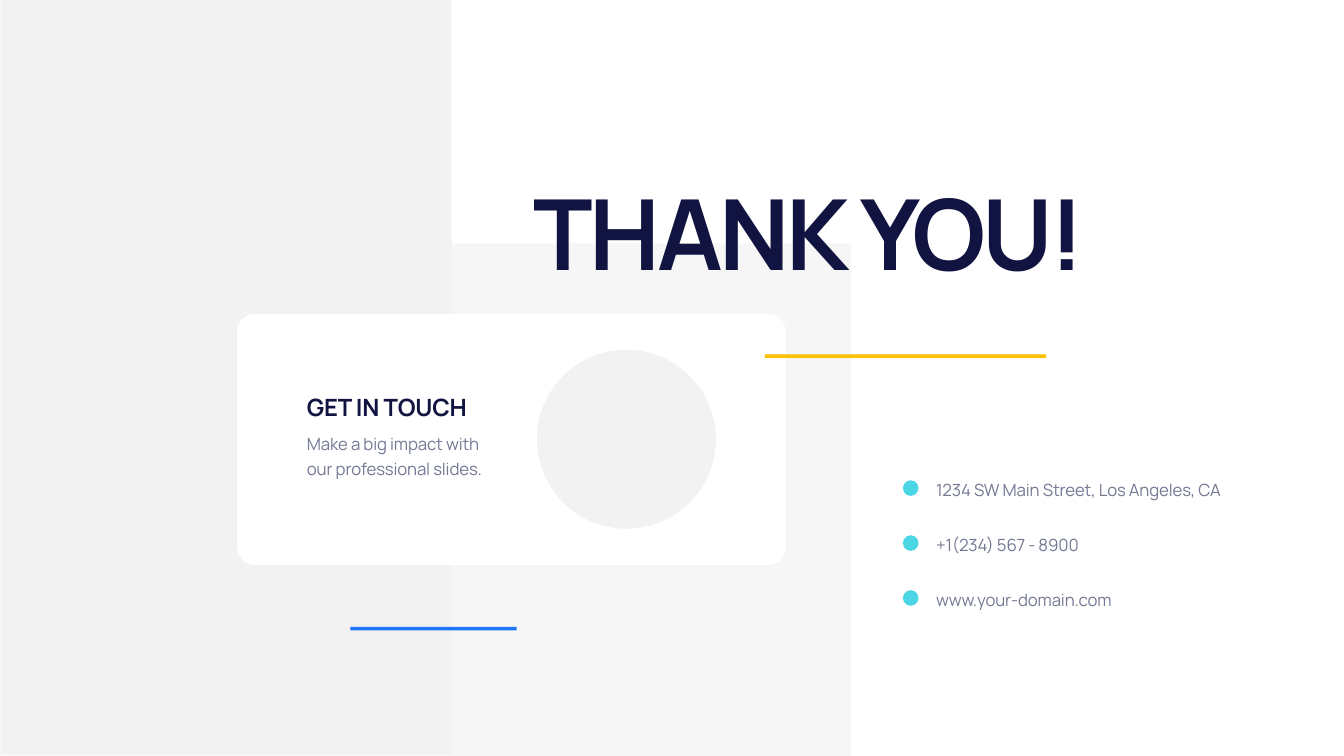
from dataclasses import dataclass

from lxml.etree import SubElement
from pptx import Presentation
from pptx.dml.color import RGBColor
from pptx.enum.shapes import MSO_SHAPE
from pptx.enum.text import MSO_ANCHOR, MSO_AUTO_SIZE, PP_ALIGN
from pptx.oxml.ns import qn
from pptx.util import Inches, Pt


@dataclass(frozen=True)
class Theme:
    font: str = "Manrope"
    white: str = "FFFFFF"
    navy: str = "111340"
    slate: str = "747994"
    pale: str = "F2F2F2"
    mist: str = "C3C8CE"
    yellow: str = "FFC000"
    blue: str = "2075FD"
    cyan: str = "4BD6E5"
    title_size: int = 140
    heading_size: int = 34
    body_size: int = 24
    body_leading: int = 36


class ClosingSlide:
    """Holds the theme and the slide being built."""

    def __init__(self, slide, theme):
        self.slide = slide
        self.theme = theme

    def block(self, kind, left, top, width, height, color, opacity=None):
        """Add a borderless filled shape; opacity is in percent."""
        block = self.slide.shapes.add_shape(
            kind, Inches(left), Inches(top), Inches(width), Inches(height))
        block.shadow.inherit = False
        block.line.fill.background()
        block.fill.solid()
        block.fill.fore_color.rgb = RGBColor.from_string(color)
        if opacity is not None:
            tint = block.element.spPr.find(qn("a:solidFill"))[0]
            SubElement(tint, qn("a:alpha"), val=str(opacity * 1000))
        return block

    def bar(self, left, top, width, color):
        return self.block(MSO_SHAPE.RECTANGLE, left, top, width, 0.07, color)

    def dot(self, left, top, diameter, color):
        return self.block(MSO_SHAPE.OVAL, left, top, diameter, diameter, color)

    def fill_text(self, frame, text, size, color, spacing, bold=False,
                  align=PP_ALIGN.LEFT, anchor=MSO_ANCHOR.TOP, leading=None):
        """Fill a text frame; spacing is between letters, in points."""
        frame.word_wrap = True
        frame.auto_size = MSO_AUTO_SIZE.SHAPE_TO_FIT_TEXT
        frame.vertical_anchor = anchor
        paragraph = frame.paragraphs[0]
        paragraph.alignment = align
        if leading:
            paragraph.line_spacing = Pt(leading)
        run = paragraph.add_run()
        run.text = text
        run.font.name = self.theme.font
        run.font.size = Pt(size)
        run.font.bold = bold
        run.font.color.rgb = RGBColor.from_string(color)
        run._r.get_or_add_rPr().set("spc", str(round(spacing * 100)))

    def title(self, text, left, top, width, height):
        title = self.slide.shapes.title
        title.left, title.top = Inches(left), Inches(top)
        title.width, title.height = Inches(width), Inches(height)
        # Bring the placeholder in front of the panels.
        title.element.getparent().append(title.element)
        self.fill_text(title.text_frame, text, self.theme.title_size,
                       self.theme.navy, -5, bold=True, align=PP_ALIGN.CENTER,
                       anchor=MSO_ANCHOR.BOTTOM)

    def text_frame(self, left, top, width, height):
        return self.slide.shapes.add_textbox(
            Inches(left), Inches(top), Inches(width), Inches(height)).text_frame

    def heading(self, text, left, top, width, height):
        self.fill_text(self.text_frame(left, top, width, height), text,
                       self.theme.heading_size, self.theme.navy, -0.3,
                       bold=True, anchor=MSO_ANCHOR.BOTTOM)

    def body(self, text, left, top, width, height):
        self.fill_text(self.text_frame(left, top, width, height), text,
                       self.theme.body_size, self.theme.slate, -0.2,
                       leading=self.theme.body_leading)


def main():
    theme = Theme()
    presentation = Presentation()
    presentation.slide_width = Inches(26.66)
    presentation.slide_height = Inches(15)
    title_only = presentation.slide_layouts[5]
    closing = ClosingSlide(presentation.slides.add_slide(title_only), theme)

    closing.block(MSO_SHAPE.RECTANGLE, 0.01, 0, 8.95, 14.99, theme.pale)
    closing.block(MSO_SHAPE.RECTANGLE, 8.96, 4.83, 7.93, 10.17, theme.mist,
                  opacity=15)
    card = closing.block(MSO_SHAPE.ROUNDED_RECTANGLE, 4.7, 6.23, 10.89, 4.98,
                         theme.white)
    card.adjustments[0] = 0.07
    closing.dot(10.65, 6.94, 3.55, theme.pale)
    closing.bar(15.17, 7.03, 5.58, theme.yellow)
    closing.bar(6.95, 12.44, 3.3, theme.blue)

    closing.title("THANK YOU!", 10.13, 3.26, 11.86, 2.54)

    contacts = ("1234 SW Main Street, Los Angeles, CA",
                "+1(234) 567 - 8900",
                "www.your-domain.com")
    contact_top, contact_step = 9.37, 1.09
    for index, contact in enumerate(contacts):
        top = contact_top + index * contact_step
        closing.dot(17.91, top + 0.16, 0.31, theme.cyan)
        closing.body(contact, 18.47, top, 6.64, 0.58)

    closing.heading("GET IN TOUCH", 5.99, 7.74, 4.05, 0.67)
    closing.body("Make a big impact with our professional slides.",
                 5.99, 8.46, 4.05, 1.09)

    presentation.save("out.pptx")


if __name__ == "__main__":
    main()
